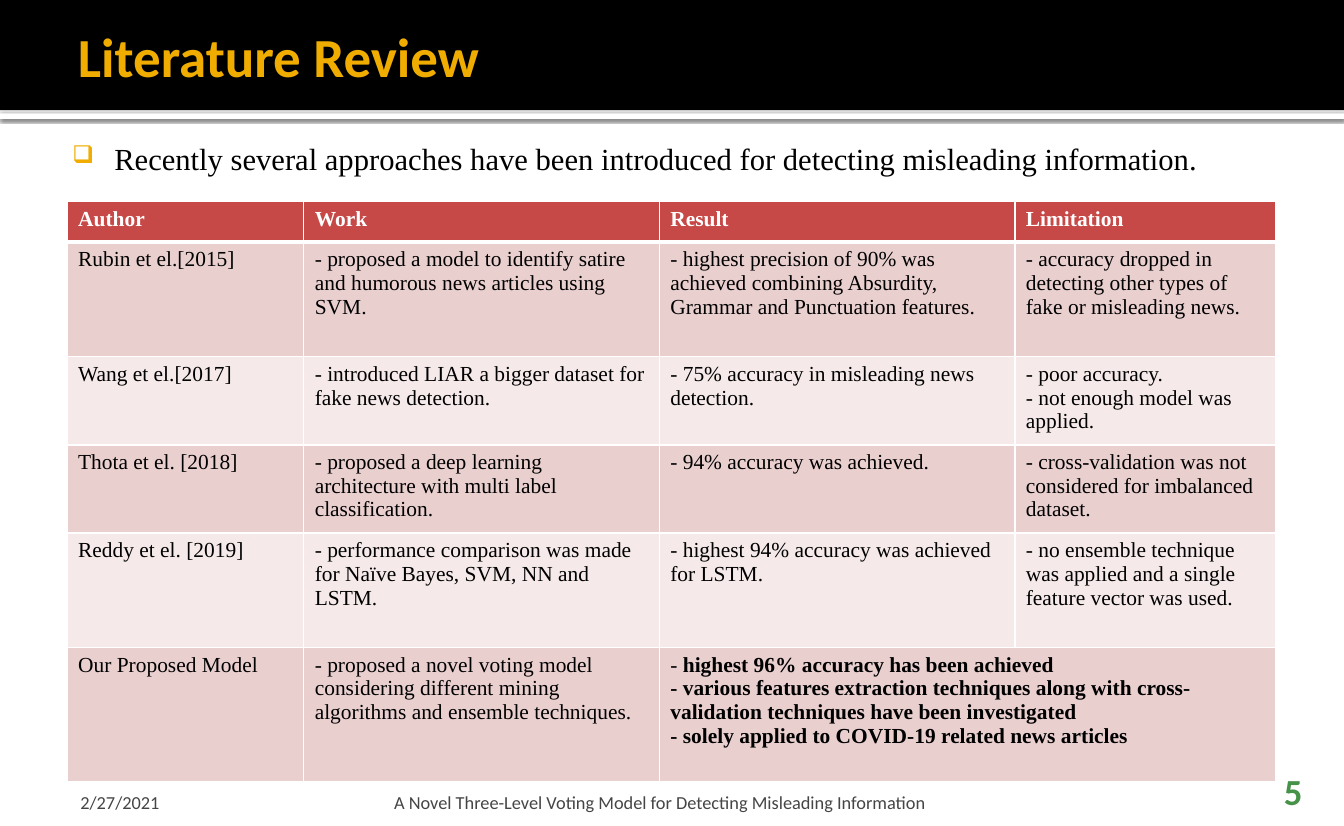
from dataclasses import dataclass

from lxml import etree
from pptx import Presentation
from pptx.dml.color import RGBColor
from pptx.enum.shapes import MSO_SHAPE
from pptx.enum.text import MSO_ANCHOR, PP_ALIGN
from pptx.oxml.ns import qn
from pptx.util import Pt

RECTANGLE = MSO_SHAPE.RECTANGLE
TOP, MIDDLE, BOTTOM = MSO_ANCHOR.TOP, MSO_ANCHOR.MIDDLE, MSO_ANCHOR.BOTTOM
LEFT, RIGHT, JUSTIFY = PP_ALIGN.LEFT, PP_ALIGN.RIGHT, PP_ALIGN.JUSTIFY
PX = 9144  # EMU in one px, 100 px to the inch
SLIDE_W, SLIDE_H = 1221, 750


@dataclass(frozen=True)
class Theme:
    sans: str = "Calibri"
    serif: str = "Times New Roman"
    white: str = "FFFFFF"
    black: str = "000000"
    gold: str = "F0AD00"
    grey: str = "454545"
    green: str = "479249"
    header: str = "C64847"
    bands: tuple = ("EACFCF", "F5E9E9")
    title_size: int = 36
    body_size: int = 20
    table_size: int = 14
    footer_size: int = 12
    number_size: int = 24


THEME = Theme()

COLUMN_WIDTHS = [215, 323, 323, 237]
ROW_HEIGHTS = [37, 104, 77, 80, 104, 122]
REVIEW = [
    ["Author", "Work", "Result", "Limitation"],
    ["Rubin et el.[2015]",
     "- proposed a model to identify satire and humorous news articles using SVM.",
     "- highest precision of 90% was achieved combining Absurdity, Grammar and Punctuation features.",
     "- accuracy dropped in detecting other types of fake or misleading news."],
    ["Wang et el.[2017]",
     "- introduced LIAR a bigger dataset for fake news detection.",
     "- 75% accuracy in misleading news detection.",
     "- poor accuracy.\n- not enough model was applied."],
    ["Thota et el. [2018]",
     "- proposed a deep learning architecture with multi label classification.",
     "- 94% accuracy was achieved.",
     "- cross-validation was not considered for imbalanced dataset."],
    ["Reddy et el. [2019]",
     "- performance comparison was made for Naïve Bayes, SVM, NN and LSTM.",
     "- highest 94% accuracy was achieved for LSTM.",
     "- no ensemble technique was applied and a single feature vector was used."],
    ["Our Proposed Model",
     "- proposed a novel voting model considering different mining algorithms and ensemble techniques."],
]
OUR_LEAD = "- "
OUR_RESULT = ("highest 96% accuracy has been achieved\n"
              "- various features extraction techniques along with cross-validation "
              "techniques have been investigated\n"
              "- solely applied to COVID-19 related news articles")


def rgb(color):
    return RGBColor.from_string(color)


def emu(*lengths):
    return [length * PX for length in lengths]


def add_xml(parent, tag, **attributes):
    return etree.SubElement(parent, qn(tag), attributes)


def write(frame, text, *, size, color, font, bold=False, align=LEFT, plain_lead=""):
    """Each line of text becomes a paragraph; plain_lead opens the first, unbolded."""
    for index, line in enumerate(text.split("\n")):
        paragraph = frame.add_paragraph() if index else frame.paragraphs[0]
        paragraph.alignment = align
        runs = [(line, bold)]
        if plain_lead and index == 0:
            runs.insert(0, (plain_lead, False))
        for words, is_bold in runs:
            run = paragraph.add_run()
            run.text = words
            run.font.size = Pt(size)
            run.font.name = font
            run.font.bold = is_bold
            run.font.color.rgb = rgb(color)


def add_text(slide, box, text, *, margins, anchor=TOP, **text_format):
    frame = slide.shapes.add_textbox(*emu(*box)).text_frame
    frame.word_wrap = True
    frame.vertical_anchor = anchor
    (frame.margin_left, frame.margin_top,
     frame.margin_right, frame.margin_bottom) = emu(*margins)
    write(frame, text, **text_format)
    return frame


def add_band(slide, box, color):
    band = slide.shapes.add_shape(RECTANGLE, *emu(*box))
    band.shadow.inherit = False
    band.fill.solid()
    band.fill.fore_color.rgb = rgb(color)
    band.line.fill.background()
    return band


def add_heading(slide, box):
    x, y, w, h = box
    # White stripe with a soft shadow below the black band
    stripe = add_band(slide, (x, y + h + 3, w, 5), THEME.white)
    effects = stripe._element.spPr.find(qn("a:effectLst"))
    shadow = add_xml(effects, "a:outerShdw", blurRad=str(Pt(2.5)), dist=str(Pt(0.8)),
                     dir="5400000", algn="t", rotWithShape="0")
    shade = add_xml(shadow, "a:srgbClr", val=THEME.black)
    add_xml(shade, "a:alpha", val="60000")
    add_band(slide, box, THEME.black)
    # Title
    add_text(slide, (x + 61, y + 13, w - 122, h - 25), "Literature Review",
             margins=(10, 5, 5, 5), anchor=MIDDLE, size=THEME.title_size,
             color=THEME.gold, font=THEME.sans, bold=True)


def add_intro(slide, box):
    frame = add_text(
        slide, box,
        "Recently several approaches have been introduced for detecting misleading information.",
        margins=(10, 10, 10, 5), align=JUSTIFY, size=THEME.body_size,
        color=THEME.black, font=THEME.serif)
    # Gold box bullet with a hanging indent
    properties = frame.paragraphs[0]._p.get_or_add_pPr()
    properties.set("marL", str(38 * PX))
    properties.set("indent", str(-38 * PX))
    add_xml(add_xml(properties, "a:buClr"), "a:srgbClr", val=THEME.gold)
    add_xml(properties, "a:buSzPct", val="80000")
    add_xml(properties, "a:buChar", char="❑")


def style_cell(cell, row):
    properties = cell._tc.get_or_add_tcPr()
    for side in ("L", "R", "T", "B"):
        under_header = (row, side) in ((0, "B"), (1, "T"))
        border = add_xml(properties, f"a:ln{side}", w=str(Pt(3 if under_header else 1)))
        add_xml(add_xml(border, "a:solidFill"), "a:srgbClr", val=THEME.white)
    cell.fill.solid()
    cell.fill.fore_color.rgb = rgb(THEME.bands[(row - 1) % 2] if row else THEME.header)


def add_review_table(slide, box):
    table = slide.shapes.add_table(len(ROW_HEIGHTS), len(COLUMN_WIDTHS), *emu(*box)).table
    for column, width in zip(table.columns, COLUMN_WIDTHS):
        column.width = width * PX
    for row, height in zip(table.rows, ROW_HEIGHTS):
        row.height = height * PX
    for r in range(len(ROW_HEIGHTS)):
        for c in range(len(COLUMN_WIDTHS)):
            style_cell(table.cell(r, c), r)
    for r, texts in enumerate(REVIEW):
        for c, text in enumerate(texts):
            write(table.cell(r, c).text_frame, text, size=THEME.table_size,
                  color=THEME.black if r else THEME.white, font=THEME.serif, bold=r == 0)
    # Our result spans the last two columns
    last = len(ROW_HEIGHTS) - 1
    our_cell = table.cell(last, 2)
    our_cell.merge(table.cell(last, 3))
    write(our_cell.text_frame, OUR_RESULT, plain_lead=OUR_LEAD, size=THEME.table_size,
          color=THEME.black, font=THEME.serif, bold=True)


def add_footer(slide, box):
    x, y, w, h = box
    small = dict(anchor=BOTTOM, size=THEME.footer_size, color=THEME.grey, font=THEME.sans)
    add_text(slide, (x, y, 285, h), "2/27/2021", margins=(12, 5, 5, 0), **small)
    add_text(slide, (x + w - 98, y, 98, h), "5", margins=(10, 5, 10, 0), anchor=BOTTOM,
             align=RIGHT, size=THEME.number_size, color=THEME.green, font=THEME.sans, bold=True)
    add_text(slide, (x + 292, y, 735, h),
             "A Novel Three-Level Voting Model for Detecting Misleading Information",
             margins=(5, 5, 5, 0), **small)


def main():
    deck = Presentation()
    deck.slide_width, deck.slide_height = emu(SLIDE_W, SLIDE_H)
    slide = deck.slides.add_slide(deck.slide_layouts[6])
    add_heading(slide, (0, 0, SLIDE_W, 100))
    add_intro(slide, (56, 117, 1152, 583))
    add_footer(slide, (61, 708, 1132, 30))
    add_review_table(slide, (61, 183, sum(COLUMN_WIDTHS), sum(ROW_HEIGHTS)))
    deck.save("out.pptx")


if __name__ == "__main__":
    main()
